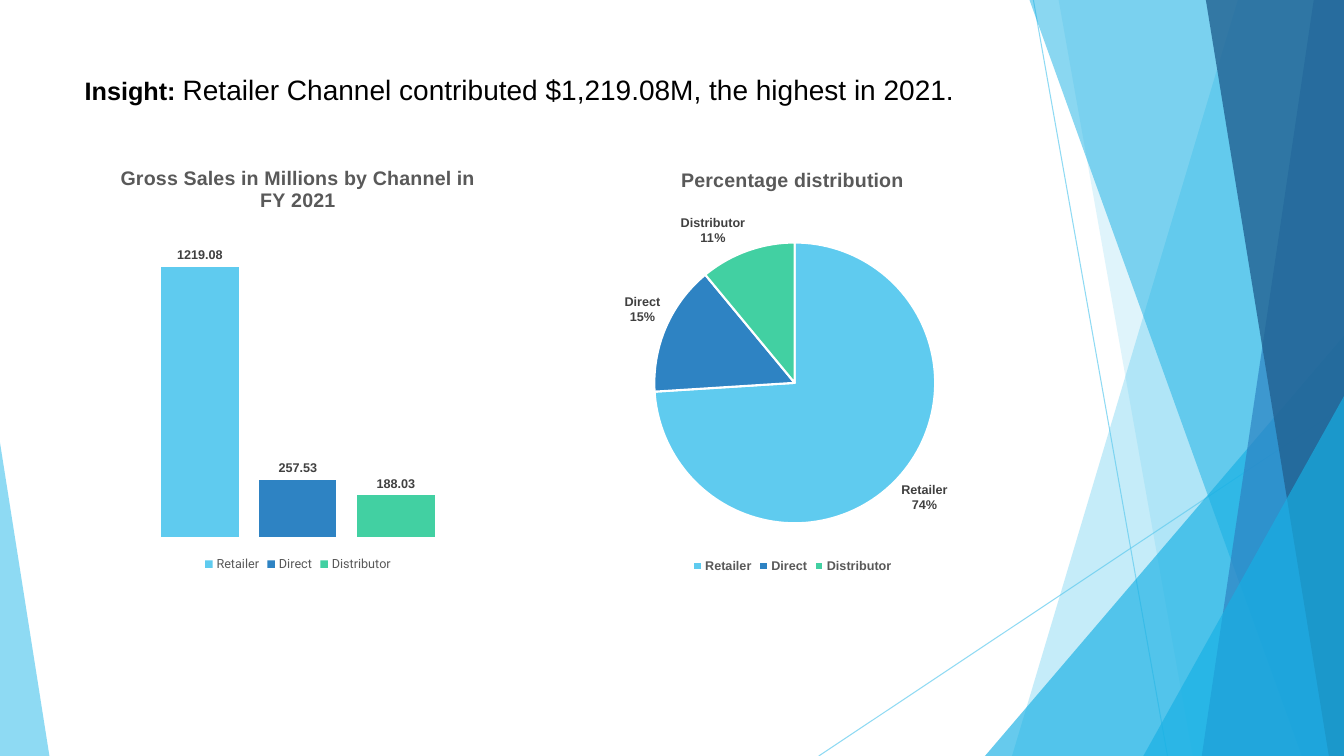
from lxml import etree
from pptx import Presentation
from pptx import util as u
from pptx.chart import data
from pptx.dml import color
from pptx.enum import chart as ch, shapes, text
from pptx.oxml import ns

SKY, BLUE, GREEN = "5FCBEF", "2E83C3", "42D0A2"
AZURE, NAVY = "17B0E4", "226292"
GREY, DARK, BLACK, WHITE = "595959", "404040", "000000", "FFFFFF"


def rgb(code):
    return color.RGBColor.from_string(code)


class Deck:
    head, body = "Arial", "Roboto"

    def __init__(self):
        self.prs = Presentation()
        self.prs.slide_width = u.Inches(13.33)
        self.prs.slide_height = u.Inches(7.5)
        self.slide = self.prs.slides.add_slide(self.prs.slide_layouts[5])
        self.shapes = self.slide.shapes

    def x(self, share):
        return round(self.prs.slide_width * share / 100)

    def y(self, share):
        return round(self.prs.slide_height * share / 100)

    def box(self, left, top, width, height):
        return self.x(left), self.y(top), self.x(width), self.y(height)

    def fade(self, fill, alpha):
        tone = fill._xPr.find(".//" + ns.qn("a:srgbClr"))
        etree.SubElement(tone, ns.qn("a:alpha")).set("val", str(alpha * 1000))

    def paint(self, shape, code, alpha):
        shape.shadow.inherit = False
        shape.fill.solid()
        shape.fill.fore_color.rgb = rgb(code)
        self.fade(shape.fill, alpha)
        shape.line.fill.background()

    def ray(self, x1, y1, x2, y2):
        ray = self.shapes.add_connector(
            shapes.MSO_CONNECTOR.STRAIGHT,
            self.x(x1), self.y(y1), self.x(x2), self.y(y2))
        ray.line.width = u.Pt(0.75)
        ray.line.fill.solid()
        ray.line.color.rgb = rgb(SKY)
        self.fade(ray.line.fill, 70)
        etree.SubElement(ray._element.spPr, ns.qn("a:effectLst"))

    def shard(self, top, foot, code, alpha):
        pen = self.shapes.build_freeform(self.x(top), 0)
        pen.add_line_segments([(self.x(100), 0), (self.x(100), self.y(100)),
                               (self.x(foot), self.y(100))])
        self.paint(pen.convert_to_shape(), code, alpha)

    def peak(self, left, top, width, tip, code, alpha):
        peak = self.shapes.add_shape(
            shapes.MSO_SHAPE.ISOSCELES_TRIANGLE,
            *self.box(left, top, width, 100 - top))
        peak.adjustments[0] = tip
        self.paint(peak, code, alpha)

    def font(self, font, size, code, name, bold=False):
        font.size = u.Pt(size)
        font.color.rgb = rgb(code)
        font.name = name
        font.bold = bold

    def title(self, area, runs):
        title = self.shapes.title
        title.left, title.top, title.width, title.height = self.box(*area)
        self.shapes._spTree.append(title._element)
        frame = title.text_frame
        frame.word_wrap = True
        frame.auto_size = text.MSO_AUTO_SIZE.NONE
        frame.vertical_anchor = text.MSO_ANCHOR.TOP
        para = frame.paragraphs[0]
        para.alignment = text.PP_ALIGN.LEFT
        for words, size, bold in runs:
            run = para.add_run()
            run.text = words
            self.font(run.font, size, BLACK, self.head, bold)

    def chart(self, kind, area, name, cats, rows, legend):
        feed = data.CategoryChartData()
        feed.categories = cats
        for label, vals in rows:
            feed.add_series(label, vals)
        chart = self.shapes.add_chart(kind, *self.box(*area), feed).chart
        self.font(chart.font, 10, BLACK, self.body)
        chart.has_title = True
        frame = chart.chart_title.text_frame
        frame.text = name
        self.font(frame.paragraphs[0].font, 14, GREY, self.head, True)
        chart.has_legend = True
        chart.legend.position = ch.XL_LEGEND_POSITION.BOTTOM
        chart.legend.include_in_layout = False
        self.font(chart.legend.font, 9, GREY, *legend)
        return chart

    def labels(self, owner):
        tags = owner.data_labels
        tags.position = ch.XL_LABEL_POSITION.OUTSIDE_END
        self.font(tags.font, 9, DARK, self.head, True)
        return tags

    def bars(self, area, name, rows, tones):
        chart = self.chart(ch.XL_CHART_TYPE.COLUMN_CLUSTERED, area, name,
                           ["1"], rows, (self.body, False))
        for axis in (chart.category_axis, chart.value_axis):
            axis.visible = False
            axis.has_major_gridlines = False
        plot = chart.plots[0]
        plot.vary_by_categories = False
        plot.gap_width, plot.overlap = 219, -27
        for series, tone in zip(plot.series, tones):
            series.format.fill.solid()
            series.format.fill.fore_color.rgb = rgb(tone)
            self.labels(series).show_value = True

    def pie(self, area, name, cats, vals, tones):
        chart = self.chart(ch.XL_CHART_TYPE.PIE, area, name, cats,
                           [("Series 1", vals)], (self.head, True))
        plot = chart.plots[0]
        plot.vary_by_categories = True
        series = plot.series[0]
        for i, tone in enumerate(tones):
            part = series.points[i].format
            part.fill.solid()
            part.fill.fore_color.rgb = rgb(tone)
            part.line.color.rgb = rgb(WHITE)
            part.line.width = u.Pt(1.5)
        tags = self.labels(series)
        tags.number_format = "0%"
        tags.number_format_is_linked = False
        tags.show_value = False
        tags.show_percentage = tags.show_category_name = True
        last = tags._element.find(ns.qn("c:showBubbleSize"))
        gap = etree.Element(ns.qn("c:separator"))
        gap.text = "\n"
        if last is None:
            last = tags._element.find(ns.qn("c:showPercent"))
        last.addnext(gap)


def main():
    deck = Deck()
    deck.ray(76.89, 0, 86.87, 100)
    deck.ray(100, 53.73, 60.92, 100)
    deck.shard(92.1, 75.3, SKY, 36)
    deck.shard(78.77, 88.75, SKY, 20)
    deck.peak(73.29, 44.4, 26.71, 1, AZURE, 66)
    deck.shard(76.6, 96.85, AZURE, 50)
    deck.shard(97.75, 89.42, BLUE, 70)
    deck.shard(89.72, 98.87, NAVY, 80)
    deck.peak(85.07, 52.4, 14.93, 1, AZURE, 66)
    deck.peak(0, 58.53, 3.68, 0, SKY, 70)

    deck.title((5.55, 8.93, 70.52, 9.2), [
        ("Insight: ", 18, True),
        ("Retailer Channel contributed $1,219.08M, the highest in 2021.",
         20, False)])

    names = ["Retailer", "Direct", "Distributor"]
    tones = [SKY, BLUE, GREEN]
    sales = [[1219.08], [257.53], [188.03]]
    deck.bars((5.03, 19.6, 34.28, 56.53),
              "Gross Sales in Millions by Channel in FY 2021",
              list(zip(names, sales)), tones)
    deck.pie((41.79, 19.87, 34.36, 56.53), "Percentage distribution",
             names, [74, 15, 11], tones)
    deck.prs.save("out.pptx")


if __name__ == "__main__":
    main()
